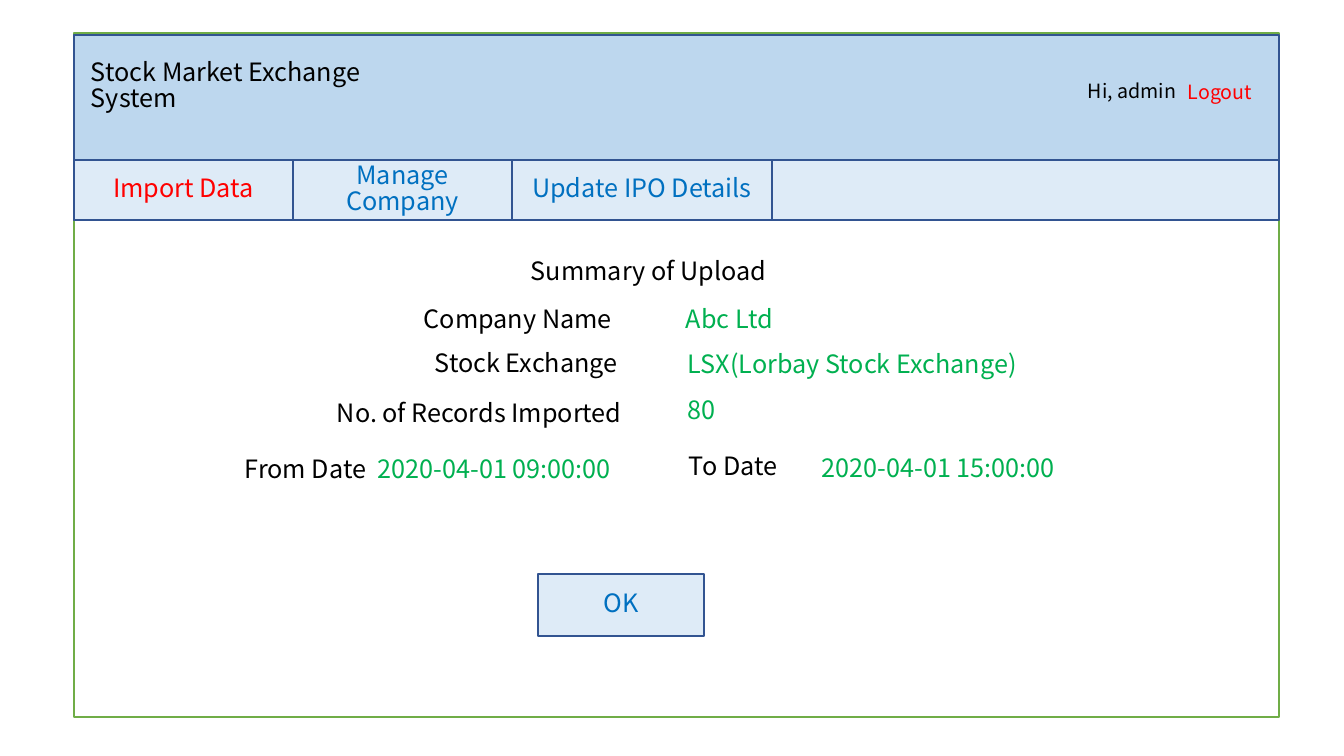
"""Build the upload summary screen of a stock market exchange system."""
from dataclasses import dataclass
from typing import Optional

import pptx
import pptx.dml.color
import pptx.enum.shapes
import pptx.enum.text
import pptx.util

RGBColor = pptx.dml.color.RGBColor
BLACK = RGBColor(0x00, 0x00, 0x00)
WHITE = RGBColor(0xFF, 0xFF, 0xFF)
RED = RGBColor(0xFF, 0x00, 0x00)
BLUE = RGBColor(0x00, 0x70, 0xC0)
GREEN = RGBColor(0x00, 0xB0, 0x50)
FRAME_GREEN = RGBColor(0x70, 0xAD, 0x47)
NAVY = RGBColor(0x32, 0x54, 0x91)
HEADER_BLUE = RGBColor(0xBD, 0xD7, 0xEE)
PALE_BLUE = RGBColor(0xDE, 0xEB, 0xF7)

FONT = "Noto Sans CJK SC"
EMU_PER_PIXEL = 914400 / 100.8
PAGE_LEFT, PAGE_WIDTH = 74, 1205
MENU_TOP, MENU_HEIGHT = 160, 60


@dataclass
class Panel:
    left: int
    top: int
    width: int
    height: int
    fill: RGBColor = PALE_BLUE
    line: RGBColor = NAVY
    text: Optional[str] = None
    color: RGBColor = BLUE


@dataclass
class Label:
    text: str
    left: int
    top: int
    width: int
    color: RGBColor = BLACK
    size: int = 18


def pixels(count: int) -> int:
    return round(count * EMU_PER_PIXEL)


def write_text(text_frame, text: str, color: RGBColor, size: int = 18) -> None:
    text_frame.word_wrap = True
    paragraph = text_frame.paragraphs[0]
    paragraph.text = text
    paragraph.line_spacing = 0.83
    paragraph.font.name = FONT
    paragraph.font.size = pptx.util.Pt(size)
    paragraph.font.color.rgb = color


def draw_panel(slide, panel: Panel) -> None:
    shape = slide.shapes.add_shape(
        pptx.enum.shapes.MSO_SHAPE.RECTANGLE,
        *map(pixels, (panel.left, panel.top, panel.width, panel.height)),
    )
    shape.shadow.inherit = False
    shape.fill.solid()
    shape.fill.fore_color.rgb = panel.fill
    shape.line.color.rgb = panel.line
    shape.line.width = pptx.util.Pt(1)
    if panel.text:
        write_text(shape.text_frame, panel.text, panel.color)
        shape.text_frame.vertical_anchor = pptx.enum.text.MSO_ANCHOR.MIDDLE
        shape.text_frame.paragraphs[0].alignment = pptx.enum.text.PP_ALIGN.CENTER


def draw_label(slide, label: Label) -> None:
    height = 40 if label.size == 18 else 34
    shape = slide.shapes.add_textbox(
        *map(pixels, (label.left, label.top, label.width, height))
    )
    write_text(shape.text_frame, label.text, label.color, label.size)
    shape.text_frame.auto_size = pptx.enum.text.MSO_AUTO_SIZE.SHAPE_TO_FIT_TEXT


def menu_panels() -> list[Panel]:
    panels = [Panel(PAGE_LEFT, MENU_TOP, PAGE_WIDTH, MENU_HEIGHT)]
    left = PAGE_LEFT
    for text, width, color in (
        ("Import Data", 219, RED),
        ("Manage Company", 219, BLUE),
        ("Update IPO Details", 260, BLUE),
    ):
        panels.append(
            Panel(left, MENU_TOP, width, MENU_HEIGHT, text=text, color=color)
        )
        left += width
    return panels


PANELS = [
    Panel(PAGE_LEFT, 33, PAGE_WIDTH, 684, WHITE, FRAME_GREEN),
    Panel(PAGE_LEFT, 35, PAGE_WIDTH, 125, HEADER_BLUE),
    *menu_panels(),
    Panel(538, 574, 166, 62, text="OK"),
]
LABELS = [
    Label("Stock Market Exchange System", 81, 57, 373),
    Label("Hi, admin", 1078, 78, 145, size=14),
    Label("Logout", 1178, 79, 145, RED, 14),
    Label("Summary of Upload", 521, 255, 503),
    Label("Company Name", 414, 304, 257),
    Label("Abc Ltd", 676, 304, 257, GREEN),
    Label("Stock Exchange", 425, 347, 257),
    Label("LSX(Lorbay Stock Exchange)", 678, 349, 422, GREEN),
    Label("No. of Records Imported", 327, 397, 339),
    Label("80", 678, 395, 257, GREEN),
    Label("From Date", 235, 453, 155),
    Label("2020-04-01 09:00:00", 368, 454, 257, GREEN),
    Label("To Date", 679, 451, 155),
    Label("2020-04-01 15:00:00", 812, 452, 257, GREEN),
]


def main() -> None:
    presentation = pptx.Presentation()
    presentation.slide_width = pixels(1344)
    presentation.slide_height = pixels(756)
    slide = presentation.slides.add_slide(presentation.slide_layouts[6])
    for panel in PANELS:
        draw_panel(slide, panel)
    for label in LABELS:
        draw_label(slide, label)
    presentation.save("out.pptx")


main()
